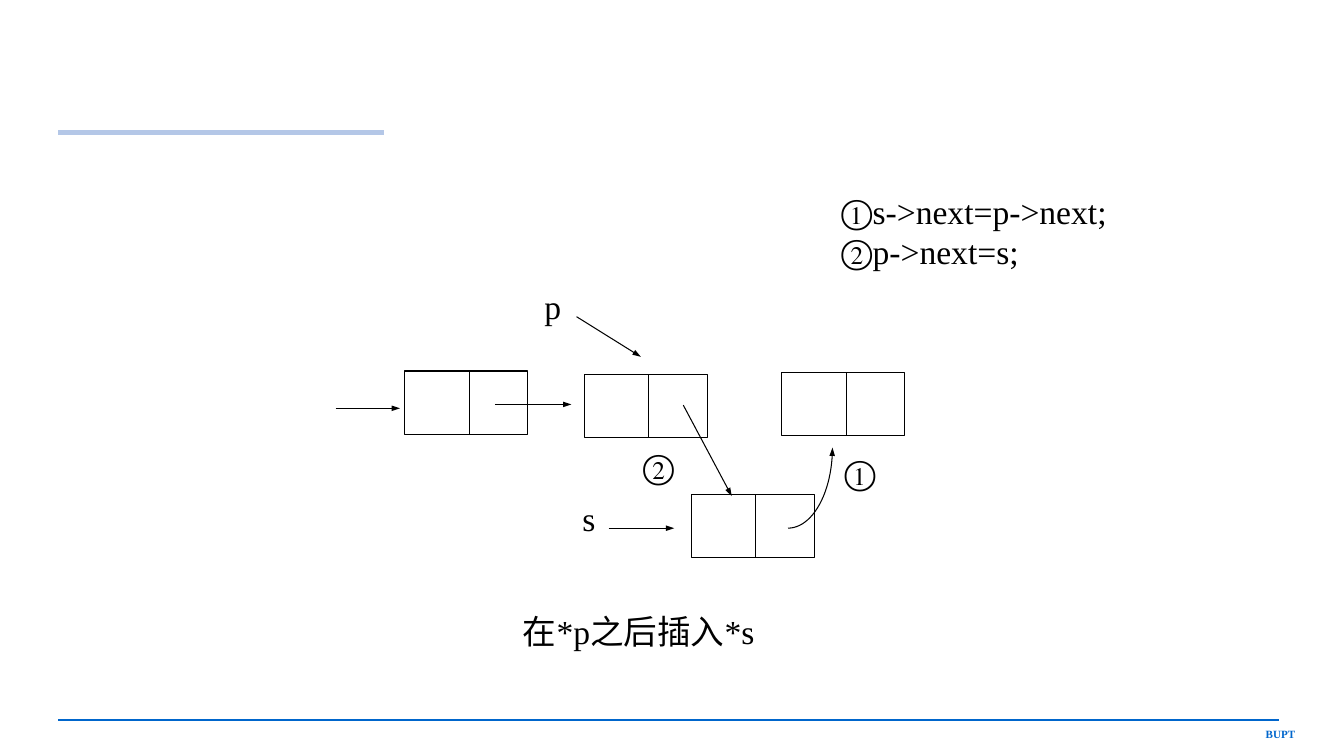
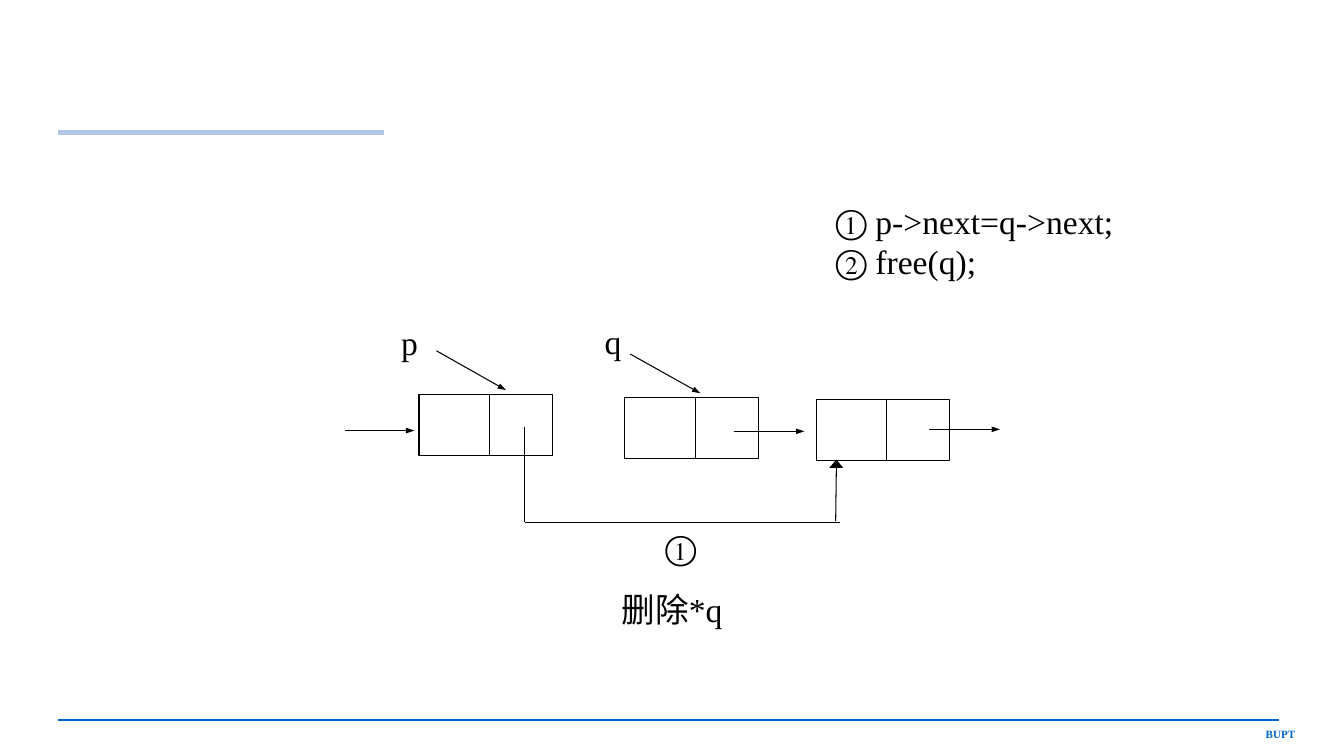
from math import cos, sin, pi
from pptx import Presentation
from pptx.dml.color import RGBColor
from pptx.enum.shapes import MSO_CONNECTOR, MSO_SHAPE
from pptx.enum.text import PP_ALIGN
from pptx.oxml.ns import qn
from pptx.util import Cm, Pt
from lxml.etree import SubElement

BLACK = RGBColor(0, 0, 0)
BLUE = RGBColor(0x00, 0x66, 0xCC)
PALE = RGBColor(0xB4, 0xC7, 0xE7)
FONT = "Times New Roman"
SLIM, BROAD = "sm", "lg"  # arrowhead widths

# Content: all lengths in cm
SLIDES = [
    dict(  # insertion after *p
        size=(3.1, 1.59), split=1.63,
        nodes=[(10.2, 9.35), (14.72, 9.43), (19.7, 9.39), (17.42, 12.45)],
        texts=[
            (["①s->next=p->next;", "②p->next=s;"], 21.2, 4.8, 7.2),
            (["p"], 13.72, 7.21, 1.2),
            (["s"], 14.68, 12.55, 1.2),
            (["①"], 21.28, 11.4, 1.2),
            (["②"], 16.2, 11.23, 1.2),
            (["在*p之后插入*s"], 13.18, 15.4, 5.84),
        ],
        lines=[
            (8.46, 10.29, 10.08, 10.29, SLIM),
            (12.47, 10.19, 14.4, 10.19, SLIM),
            (14.53, 7.98, 16.15, 8.99, SLIM),
            (17.22, 10.21, 18.44, 12.5, SLIM),
            (15.34, 13.31, 16.99, 13.31, SLIM),
        ],
        curves=[(19.86, 13.31, 20.98, 11.28)],
    ),
    dict(  # deletion of *q
        size=(3.36, 1.55), split=1.77,
        nodes=[(10.56, 9.94), (15.75, 10.01), (20.57, 10.06)],
        texts=[
            (["① p->next=q->next;", "② free(q);"], 21.06, 5.06, 7.2),
            (["p"], 10.11, 8.1, 1.2),
            (["q"], 15.24, 8.08, 1.2),
            (["①"], 16.76, 13.29, 1.2),
            (["删除*q"], 15.67, 14.83, 5.84),
        ],
        lines=[
            (8.69, 10.85, 10.44, 10.85, SLIM),
            (11, 8.84, 12.75, 9.83, SLIM),
            (15.88, 8.92, 17.65, 9.91, SLIM),
            (18.49, 10.87, 20.27, 10.87, SLIM),
            (23.42, 10.82, 25.2, 10.82, SLIM),
            (13.23, 10.77, 13.23, 13.16, None),
            (13.23, 13.16, 21.18, 13.16, None),
            (21.06, 13.13, 21.08, 11.58, BROAD),
        ],
        curves=[],
    ),
]


def write(slide, rows, x, y, w, h=1.27, size=24, color=BLACK, bold=False,
          align=PP_ALIGN.LEFT):
    box = slide.shapes.add_textbox(Cm(x), Cm(y), Cm(w), Cm(h))
    frame = box.text_frame
    frame.word_wrap = True
    frame.margin_left = frame.margin_right = 0
    frame.margin_top = frame.margin_bottom = 0
    for i, row in enumerate(rows):
        para = frame.add_paragraph() if i else frame.paragraphs[0]
        para.text = row
        para.alignment = align
        font = para.font
        font.name, font.size, font.bold = FONT, Pt(size), bold
        font.color.rgb = color
    return box


def ink(shape, color=BLACK, width=0.75, head=None):
    shape.line.color.rgb = color
    shape.line.width = Pt(width)
    if head:
        ln = shape.line._get_or_add_ln()
        SubElement(ln, qn("a:tailEnd"), type="triangle", w=head, len="med")


def draw(slide, x1, y1, x2, y2, head=None, **style):
    line = slide.shapes.add_connector(
        MSO_CONNECTOR.STRAIGHT, Cm(x1), Cm(y1), Cm(x2), Cm(y2))
    ink(line, head=head, **style)
    SubElement(line._element.spPr, qn("a:effectLst"))
    return line


def node(slide, x, y, w, h, split):
    rect = slide.shapes.add_shape(
        MSO_SHAPE.RECTANGLE, Cm(x), Cm(y), Cm(w), Cm(h))
    rect.shadow.inherit = False
    rect.fill.background()
    ink(rect)
    draw(slide, x + split, y, x + split, y + h)


def curve(slide, x1, y1, x2, y2, steps=24):
    # Quarter ellipse, leaving level and arriving upright
    turns = [pi / 2 * i / steps for i in range(1, steps + 1)]
    points = [(Cm(x1 + (x2 - x1) * sin(t)), Cm(y2 + (y1 - y2) * cos(t)))
              for t in turns]
    pen = slide.shapes.build_freeform(Cm(x1), Cm(y1))
    pen.add_line_segments(points, close=False)
    arc = pen.convert_to_shape()
    arc.shadow.inherit = False
    arc.fill.background()
    ink(arc, head=SLIM)


def brand(layout, slide):
    # Shared rules and footer: drawn once, then moved to the layout
    for holder in list(layout.placeholders):
        holder._element.getparent().remove(holder._element)
    parts = [
        draw(slide, 1.47, 18.14, 32.23, 18.14, color=BLUE, width=1.5),
        draw(slide, 1.47, 3.33, 9.68, 3.33, color=PALE, width=3.5),
        write(slide, ["BUPT"], 29.21, 18.34, 3.43, h=0.4, size=7.9,
              color=BLUE, bold=True, align=PP_ALIGN.RIGHT),
    ]
    for part in parts:
        layout.shapes._spTree.append(part._element)


def main():
    deck = Presentation()
    deck.slide_width, deck.slide_height = Cm(33.87), Cm(19.05)
    blank = deck.slide_layouts[6]
    for i, data in enumerate(SLIDES):
        slide = deck.slides.add_slide(blank)
        if i == 0:
            brand(blank, slide)
        for spot in data["nodes"]:
            node(slide, *spot, *data["size"], data["split"])
        for ends in data["lines"]:
            draw(slide, *ends)
        for ends in data["curves"]:
            curve(slide, *ends)
        for rows, x, y, w in data["texts"]:
            write(slide, rows, x, y, w, h=1.27 * len(rows))
    deck.save("out.pptx")


if __name__ == "__main__":
    main()
